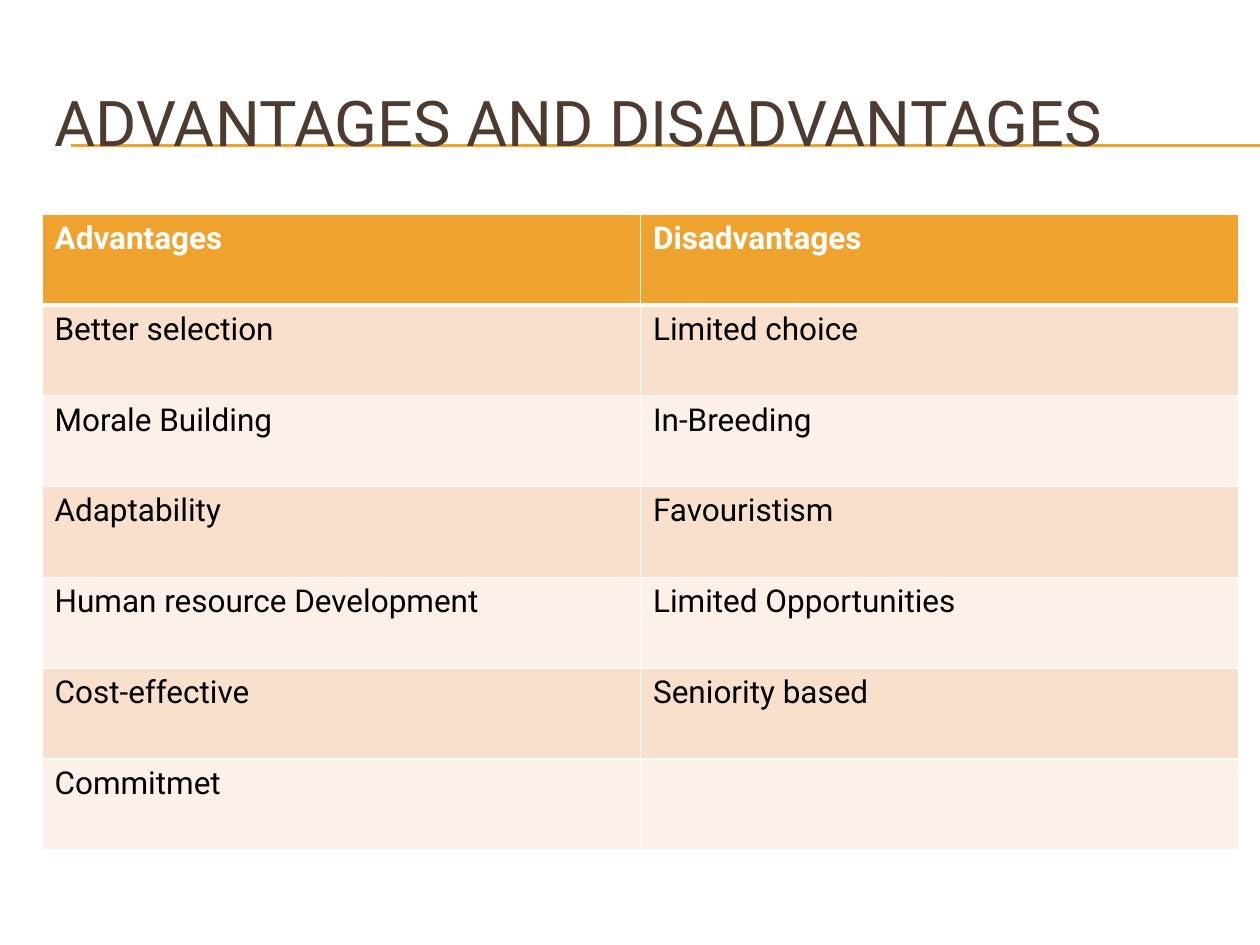
from lxml import etree
from pptx import Presentation
from pptx import util as u
from pptx.dml.color import RGBColor
from pptx.enum import shapes, text
from pptx.oxml.ns import qn

PX = 914400 / 126
FONT = "Roboto"
WHITE, ORANGE, BROWN, BLACK = "FFFFFF", "F0A22E", "4E3B30", "000000"
BANDS = ("F9E0CD", "FCF0E8")
ROWS = [
    ("Advantages", "Disadvantages"),
    ("Better selection", "Limited choice"),
    ("Morale Building", "In-Breeding"),
    ("Adaptability", "Favouristism"),
    ("Human resource Development", "Limited Opportunities"),
    ("Cost-effective", "Seniority based"),
    ("Commitmet", ""),
]


def px(n):
    """Turn pixels into EMU."""
    return u.Emu(round(n * PX))


def rgb(value):
    """Turn a hex string into a colour."""
    return RGBColor.from_string(value)


def write(tf, words, color, **fmt):
    """Write one run with the given font attributes."""
    r = tf.paragraphs[0].add_run()
    r.text = words
    r.font.color.rgb = rgb(color)
    for name, value in {"name": FONT, **fmt}.items():
        setattr(r.font, name, value)


def add_rules(s, x, y, w):
    """Draw the pair of thin rules one pixel apart."""
    for top in (y, y + 1):
        c = s.shapes.add_connector(
            shapes.MSO_CONNECTOR.STRAIGHT, px(x), px(top), px(x + w), px(top))
        c.line.color.rgb = rgb(ORANGE)
        c.line.width = u.Pt(0.75)
        etree.SubElement(c._element.spPr, qn("a:effectLst"))


def add_title(s, x, y, w, h):
    """Place the slide title, centred vertically in its box."""
    sp = s.shapes.add_textbox(px(x), px(y), px(w), px(h))
    tf = sp.text_frame
    tf.word_wrap = True
    tf.vertical_anchor = text.MSO_ANCHOR.MIDDLE
    write(tf, "ADVANTAGES AND DISADVANTAGES", BROWN, size=u.Pt(36))


def set_borders(cell, widths):
    """Give a cell white borders, with widths in points by side."""
    tcPr = cell._tc.get_or_add_tcPr()
    for i, (side, width) in enumerate(widths.items()):
        ln = etree.Element(qn(f"a:ln{side}"), w=str(u.Pt(width)))
        fill = etree.SubElement(ln, qn("a:solidFill"))
        etree.SubElement(fill, qn("a:srgbClr"), val=WHITE)
        tcPr.insert(i, ln)


def add_comparison(s, x, y, w, h):
    """Build the two-column table with a header and banded rows."""
    tbl = s.shapes.add_table(
        len(ROWS), len(ROWS[0]), px(x), px(y), px(w), px(h)).table
    for row in tbl.rows:
        row.height = px(h / len(ROWS))
    for i, row in enumerate(ROWS):
        head = i == 0
        for j, words in enumerate(row):
            cell = tbl.cell(i, j)
            cell.fill.solid()
            cell.fill.fore_color.rgb = rgb(ORANGE if head else BANDS[(i - 1) % 2])
            set_borders(cell, {"L": 1, "R": 1, "T": 3 if i == 1 else 1,
                               "B": 3 if head else 1})
            if words:
                write(cell.text_frame, words, WHITE if head else BLACK,
                      size=u.Pt(18), bold=head)


def main():
    """Build and save the slide."""
    prs = Presentation()
    prs.slide_width, prs.slide_height = px(1260), px(945)
    s = prs.slides.add_slide(prs.slide_layouts[6])
    add_rules(s, 71, 145, 1189)
    add_title(s, 42, 63, 1197, 116)
    add_comparison(s, 42, 214, 1197, 636)
    prs.save("out.pptx")


if __name__ == "__main__":
    main()
